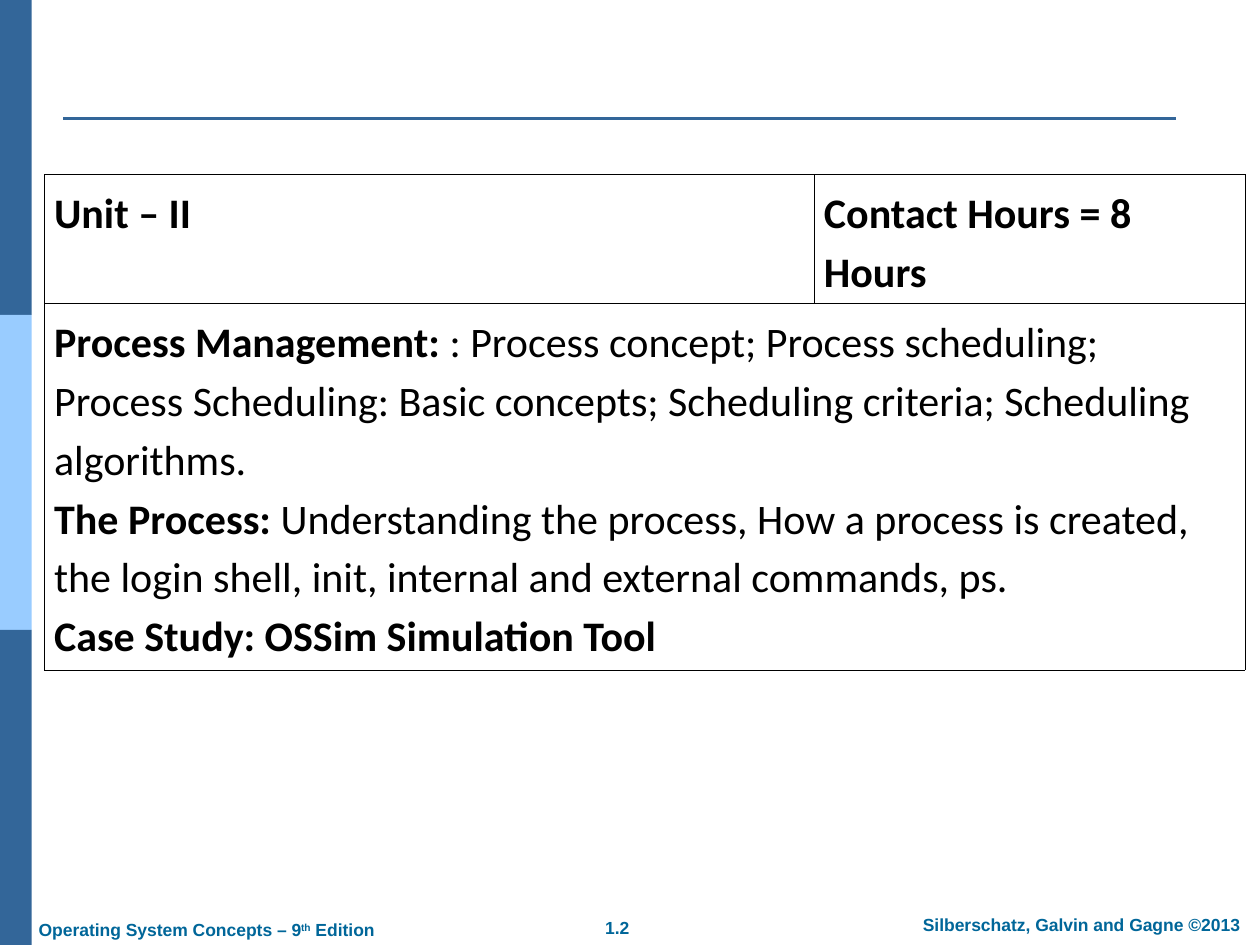
from dataclasses import dataclass

from lxml import etree
from pptx import Presentation
from pptx import util as u
from pptx.dml.color import RGBColor
from pptx.enum import shapes, text
from pptx.oxml import ns


@dataclass(frozen=True)
class Theme:
    dark_blue: str = "336699"
    light_blue: str = "99CCFF"
    footer_color: str = "006699"
    black: str = "000000"
    footer_font: str = "Arial"
    table_font: str = "Calibri"
    footer_size: float = 10
    table_size: float = 24
    rule_width: float = 1.5
    border_width: float = 0.45


THEME = Theme()
SIDE_BANDS = [THEME.dark_blue, THEME.light_blue, THEME.dark_blue]
BAND_WIDTH, BAND_HEIGHT = 0.64, 6.35
RULE = (1.27, 2.39, 23.7, 2.39)

FOOTERS = [
    ([("1.2", "bold")], (11.2, 18.37, 2.49, 0.69), "CENTER"),
    ([("Silberschatz, Galvin and Gagne ©2013", "bold")],
     (18.03, 18.3, 7.54, 0.69), "CENTER"),
    ([("Operating System Concepts – 9", "bold"), ("th", "bold raised"), (" Edition", "bold")],
     (0.53, 18.4, 8.5, 0.69), "LEFT"),
]

TABLE_LEFT, TABLE_TOP = 0.9, 3.52
COLUMN_WIDTHS = [15.52, 8.68]
ROW_HEIGHTS = [2.41, 7.39]
UNIT = [[("Unit – II", "bold")]]
HOURS = [[("Contact Hours = 8 Hours", "bold")]]
SYLLABUS = [
    [("Process Management:", "bold"),
     (" : Process concept; Process scheduling; Process Scheduling: Basic concepts; "
      "Scheduling criteria; Scheduling algorithms.", "")],
    [("The Process: ", "bold"),
     ("Understanding the process, How a process is created, the login shell, init, "
      "internal and external commands, ps.", "")],
    [("Case Study: OSSim Simulation Tool", "bold")],
]


def write_text(frame, paragraphs, *, font, size, color, align="LEFT", spacing=1.0):
    for index, runs in enumerate(paragraphs):
        paragraph = frame.add_paragraph() if index else frame.paragraphs[0]
        paragraph.alignment = getattr(text.PP_ALIGN, align)
        paragraph.line_spacing = spacing
        for content, style in runs:
            run = paragraph.add_run()
            run.text = content
            run.font.name = font
            run.font.size = u.Pt(size)
            run.font.bold = "bold" in style
            run.font.color.rgb = RGBColor.from_string(color)
            if "raised" in style:
                run.font._element.set("baseline", "30000")


def add_side_bands(slide):
    for index, color in enumerate(SIDE_BANDS):
        shape = slide.shapes.add_shape(
            shapes.MSO_SHAPE.RECTANGLE, 0, u.Cm(index * BAND_HEIGHT),
            u.Cm(BAND_WIDTH), u.Cm(BAND_HEIGHT))
        shape.shadow.inherit = False
        shape.fill.solid()
        shape.fill.fore_color.rgb = RGBColor.from_string(color)
        shape.line.fill.background()


def add_title_rule(slide):
    connector = slide.shapes.add_connector(
        shapes.MSO_CONNECTOR.STRAIGHT, *map(u.Cm, RULE))
    connector.line.color.rgb = RGBColor.from_string(THEME.dark_blue)
    connector.line.width = u.Pt(THEME.rule_width)
    etree.SubElement(connector._element.spPr, ns.qn("a:effectLst"))


def add_footers(slide):
    for runs, place, align in FOOTERS:
        frame = slide.shapes.add_textbox(*map(u.Cm, place)).text_frame
        frame.word_wrap = True
        frame.auto_size = text.MSO_AUTO_SIZE.SHAPE_TO_FIT_TEXT
        write_text(frame, [runs], font=THEME.footer_font, size=THEME.footer_size,
                   color=THEME.footer_color, align=align)


def format_cell(cell):
    properties = cell._tc.get_or_add_tcPr()
    for side in ("lnL", "lnR", "lnT", "lnB"):
        line = etree.SubElement(properties, ns.qn(f"a:{side}"),
                                w=str(int(u.Pt(THEME.border_width))))
        fill = etree.SubElement(line, ns.qn("a:solidFill"))
        etree.SubElement(fill, ns.qn("a:srgbClr"), val=THEME.black)
    cell.fill.background()
    cell.margin_left = cell.margin_right = u.Cm(0.19)
    cell.margin_top = cell.margin_bottom = u.Cm(0.13)


def add_unit_table(slide):
    table = slide.shapes.add_table(
        len(ROW_HEIGHTS), len(COLUMN_WIDTHS), u.Cm(TABLE_LEFT), u.Cm(TABLE_TOP),
        u.Cm(sum(COLUMN_WIDTHS)), u.Cm(sum(ROW_HEIGHTS))).table
    table.first_row = table.horz_banding = False
    for column, width in zip(table.columns, COLUMN_WIDTHS):
        column.width = u.Cm(width)
    for row, height in zip(table.rows, ROW_HEIGHTS):
        row.height = u.Cm(height)
    for cell in table.iter_cells():
        format_cell(cell)
    table.cell(1, 0).merge(table.cell(1, 1))
    for position, paragraphs in (((0, 0), UNIT), ((0, 1), HOURS), ((1, 0), SYLLABUS)):
        write_text(table.cell(*position).text_frame, paragraphs, font=THEME.table_font,
                   size=THEME.table_size, color=THEME.black, spacing=1.15)


def main():
    presentation = Presentation()
    presentation.slide_width, presentation.slide_height = u.Cm(25.4), u.Cm(19.05)
    slide = presentation.slides.add_slide(presentation.slide_layouts[6])
    add_side_bands(slide)
    add_title_rule(slide)
    add_footers(slide)
    add_unit_table(slide)
    presentation.save("out.pptx")


if __name__ == "__main__":
    main()
